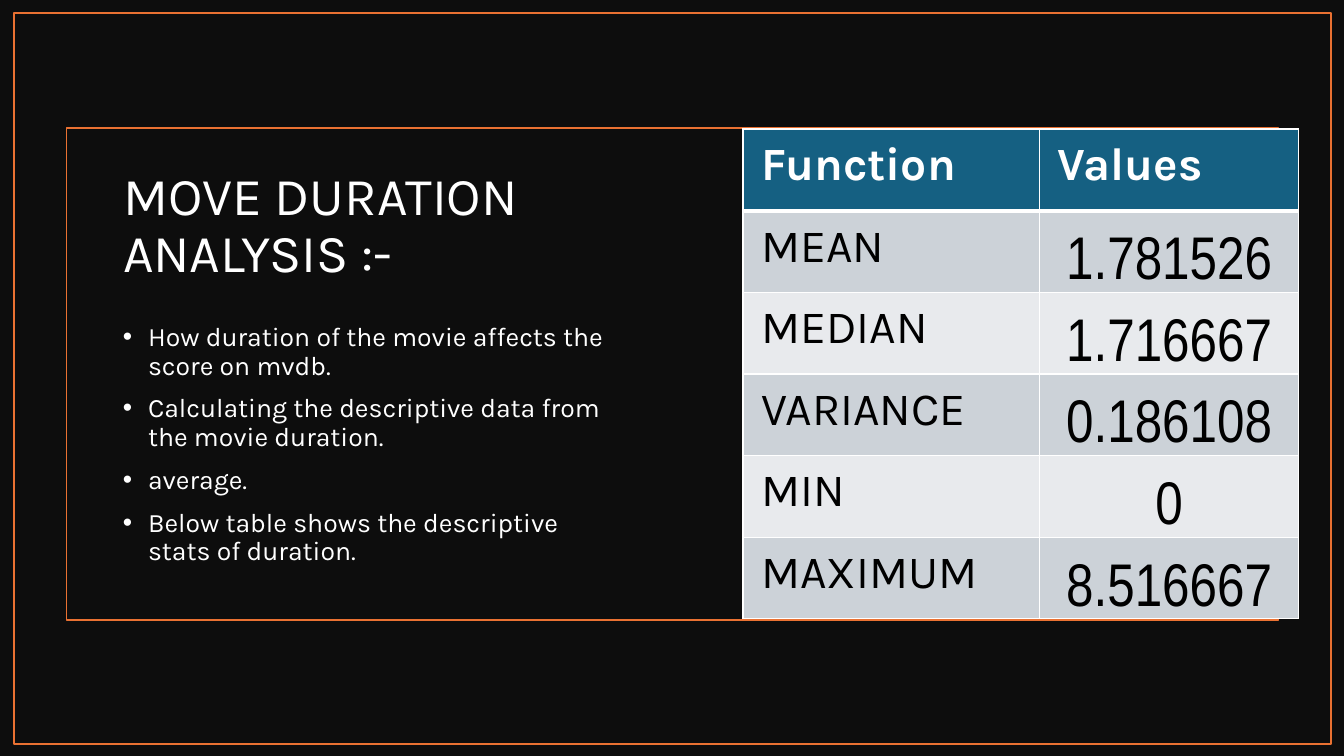
import pptx
import pptx.dml.color
import pptx.enum.shapes
import pptx.enum.text
import pptx.oxml
import pptx.oxml.ns
import pptx.util
from pptx.util import Inches

POINTS = [
    "How duration of the movie affects the score on mvdb.",
    "Calculating the descriptive data from the movie duration.",
    "average.",
    "Below table shows the descriptive stats of duration.",
]
STATS = [
    ("Function", "Values"),
    ("MEAN", "1.781526"),
    ("MEDIAN", "1.716667"),
    ("VARIANCE", "0.186108"),
    ("MIN", "0"),
    ("MAXIMUM", "8.516667"),
]
ANCHOR = pptx.enum.text.MSO_ANCHOR
ALIGN = pptx.enum.text.PP_ALIGN


def color(code):
    """Turn a hex string into a colour."""
    return pptx.dml.color.RGBColor.from_string(code)


def style(para, size, code, face="Karla", bold=False):
    """Set the font of a paragraph."""
    font = para.font
    font.name, font.size, font.bold = face, pptx.util.Pt(size), bold
    font.color.rgb = color(code)


def add_frame(slide, box):
    """Draw a thin orange outline."""
    kind = pptx.enum.shapes.MSO_SHAPE.RECTANGLE
    frame = slide.shapes.add_shape(kind, *map(Inches, box))
    frame.shadow.inherit = False
    frame.fill.background()
    frame.line.color.rgb = color("E97132")
    frame.line.width = pptx.util.Pt(1)


def add_bullet(para):
    """Give a paragraph a hanging bullet."""
    props = para._p.get_or_add_pPr()
    props.set("marL", str(Inches(0.25)))
    props.set("indent", str(-Inches(0.25)))
    space = pptx.oxml.ns.nsdecls("a")
    props.append(pptx.oxml.parse_xml(f'<a:buFont {space} typeface="Arial"/>'))
    props.append(pptx.oxml.parse_xml(f'<a:buChar {space} char="•"/>'))


def add_story(slide, box):
    """Place the title and, below it, the bullet list."""
    left, top, width, height = box
    title = slide.shapes.title
    title.left, title.top = Inches(left), Inches(top)
    title.width, title.height = Inches(width), Inches(1.34)
    title.text = "MOVE DURATION ANALYSIS :-"
    title.text_frame.word_wrap = True
    title.text_frame.vertical_anchor = ANCHOR.BOTTOM
    head = title.text_frame.paragraphs[0]
    head.alignment = ALIGN.LEFT
    head.line_spacing = 0.9
    style(head, 38, "FFFFFF")

    drop = 1.63
    body = slide.shapes.add_textbox(
        Inches(left), Inches(top + drop), Inches(width), Inches(height - drop))
    frame = body.text_frame
    frame.word_wrap = True
    for index, text in enumerate(POINTS):
        para = frame.add_paragraph() if index else frame.paragraphs[0]
        para.text = text
        para.line_spacing = 0.9
        para.space_before = pptx.util.Pt(10 if index else 0)
        add_bullet(para)
        style(para, 19, "FFFFFF")


def add_edges(cell, row):
    """Draw white cell borders, thicker below the header row."""
    props = cell._tc.get_or_add_tcPr()
    space = pptx.oxml.ns.nsdecls("a")
    widths = {"L": 1, "R": 1, "T": 3 if row == 1 else 1, "B": 1 if row else 3}
    for side, width in widths.items():
        props.append(pptx.oxml.parse_xml(
            f'<a:ln{side} {space} w="{pptx.util.Pt(width)}"><a:solidFill>'
            f'<a:srgbClr val="FFFFFF"/></a:solidFill></a:ln{side}>'))


def fill_cell(cell, text, row, col):
    """Write and format one table cell."""
    number = row > 0 and col > 0
    cell.text = text
    add_edges(cell, row)
    cell.fill.solid()
    band = "CCD2D8" if row % 2 else "E8EAED"
    cell.fill.fore_color.rgb = color(band if row else "156082")
    sides = (0.02, 0.02, 0.02, 0) if number else (0.18, 0.09, 0.18, 0.09)
    (cell.margin_left, cell.margin_top,
     cell.margin_right, cell.margin_bottom) = map(Inches, sides)
    cell.vertical_anchor = ANCHOR.BOTTOM if number else ANCHOR.TOP
    para = cell.text_frame.paragraphs[0]
    if number:
        para.alignment = ALIGN.CENTER
        style(para, 43, "000000", "Arial Narrow")
    else:
        style(para, 33, "000000" if row else "FFFFFF", bold=row == 0)


def add_stats(slide, box):
    """Place the table of statistics."""
    width, height = box[2:]
    table = slide.shapes.add_table(len(STATS), 2, *map(Inches, box)).table
    first = 2.94
    table.columns[0].width = Inches(first)
    table.columns[1].width = Inches(width - first)
    for row, texts in enumerate(STATS):
        table.rows[row].height = Inches(height / len(STATS))
        for col, text in enumerate(texts):
            fill_cell(table.cell(row, col), text, row, col)


def main():
    """Build the slide and save it."""
    deck = pptx.Presentation()
    deck.slide_width, deck.slide_height = Inches(13.33), Inches(7.5)
    slide = deck.slides.add_slide(deck.slide_layouts[5])
    back = slide.background.fill
    back.solid()
    back.fore_color.rgb = color("0D0D0D")
    add_story(slide, (1.12, 1.53, 5.15, 4.18))
    add_frame(slide, (0.14, 0.13, 13.06, 7.25))
    add_frame(slide, (0.66, 1.27, 12.02, 4.88))
    add_stats(slide, (7.37, 1.28, 5.51, 4.86))
    deck.save("out.pptx")


if __name__ == "__main__":
    main()
